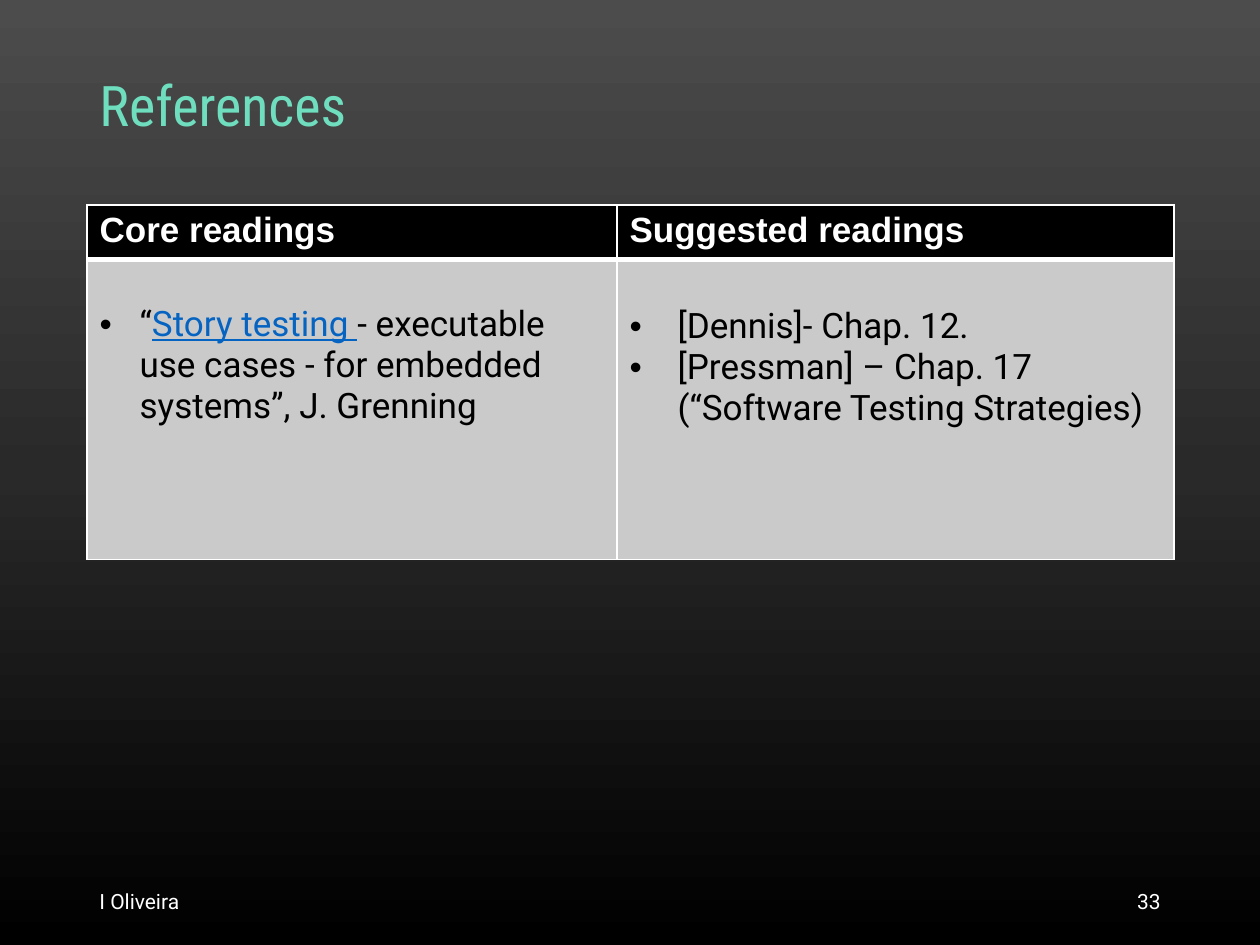
import copy
import pptx
import pptx.util
import pptx.dml.color
import pptx.enum.text
import pptx.oxml
import pptx.oxml.ns

ALIGN = pptx.enum.text.PP_ALIGN
THEME = {
    "gradient": [(0, "4C4C4C"), (0.5, "292929"), (1, "000000")],
    "white": "FFFFFF", "black": "000000", "mint": "6EDEBF",
    "link": "0563C1", "body_fill": "CACACA",
    "title_size": 32, "table_size": 20, "footer_size": 12,
    "rule": 1, "header_rule": 3,
}
PX = 914400 // 126

LABELS = [
    {"text": "References", "box": (87, 50, 1086, 117), "align": ALIGN.LEFT, "spacing": 0.9,
     "font": {"name": "Roboto Condensed", "size": "title_size", "color": "mint"}},
    {"text": "I Oliveira", "box": (87, 876, 756, 50), "align": ALIGN.LEFT, "spacing": 1,
     "font": {"name": "Roboto", "size": "footer_size", "color": "white"}},
    {"text": "33", "box": (890, 876, 283, 50), "align": ALIGN.RIGHT, "spacing": 1,
     "font": {"name": "Roboto", "size": "footer_size", "color": "white"}},
]
HEADING = {"name": "Arial", "size": "table_size", "color": "white", "bold": True}
READING = {"name": "Roboto", "size": "table_size", "color": "black", "bold": False}
LINK = {**READING, "color": "link", "underline": True}
COLUMNS = [
    {"heading": "Core readings", "width": 530, "indent": 40, "top": 44, "readings": [
        [("“", READING), ("Story testing ", LINK),
         ("- executable use cases - for embedded systems”, J. Grenning", READING)],
    ]},
    {"heading": "Suggested readings", "width": 557, "indent": 48, "top": 46, "readings": [
        [("[Dennis]- Chap. 12.", READING)],
        [("[Pressman] – Chap. 17 (“Software Testing Strategies)", READING)],
    ]},
]
TABLE_LEFT, TABLE_TOP = 87, 205
ROW_HEIGHTS = [52, 300]


def rgb(name):
    return pptx.dml.color.RGBColor.from_string(THEME.get(name, name))


def xml(markup):
    return pptx.oxml.parse_xml(markup.replace(" ", f' {pptx.oxml.ns.nsdecls("a")} ', 1))


def add_run(paragraph, text, style):
    run = paragraph.add_run()
    run.text = text
    for key, value in style.items():
        if key == "color":
            run.font.color.rgb = rgb(value)
        elif key == "size":
            run.font.size = pptx.util.Pt(THEME[value])
        else:
            setattr(run.font, key, value)


def add_bullet(paragraph, indent):
    properties = paragraph._p.get_or_add_pPr()
    for key, value in {"marL": indent * PX, "indent": -indent * PX}.items():
        properties.set(key, str(value))
    for markup in (f'<a:buClr ><a:srgbClr val="{THEME["black"]}"/></a:buClr>',
                   '<a:buFont typeface="Arial"/>', '<a:buChar char="•"/>'):
        properties.append(xml(markup))


def style_cell(cell, fill, thick_side):
    cell.fill.solid()
    cell.fill.fore_color.rgb = rgb(fill)
    properties = cell._tc.get_or_add_tcPr()
    for place, side in enumerate("LRTB"):
        points = THEME["header_rule" if side == thick_side else "rule"]
        properties.insert(place, xml(
            f'<a:ln{side} w="{pptx.util.Pt(points)}"><a:solidFill>'
            f'<a:srgbClr val="{THEME["white"]}"/></a:solidFill></a:ln{side}>'))


def paint_background(slide):
    fill = slide.background.fill
    fill.gradient()
    fill.gradient_angle = 270
    stops = slide.element.find(".//" + pptx.oxml.ns.qn("a:gsLst"))
    stops.append(copy.deepcopy(stops[0]))
    for stop, (position, color) in zip(fill.gradient_stops, THEME["gradient"]):
        stop.position = position
        stop.color.rgb = rgb(color)


def add_label(slide, label):
    frame = slide.shapes.add_textbox(*(side * PX for side in label["box"])).text_frame
    frame.word_wrap = True
    frame.vertical_anchor = pptx.enum.text.MSO_ANCHOR.MIDDLE
    paragraph = frame.paragraphs[0]
    paragraph.alignment = label["align"]
    paragraph.line_spacing = label["spacing"]
    add_run(paragraph, label["text"], label["font"])


def add_readings(slide):
    width = sum(column["width"] for column in COLUMNS)
    table = slide.shapes.add_table(
        len(ROW_HEIGHTS), len(COLUMNS), TABLE_LEFT * PX, TABLE_TOP * PX,
        width * PX, sum(ROW_HEIGHTS) * PX).table
    table.horz_banding = False
    for row, height in zip(table.rows, ROW_HEIGHTS):
        row.height = height * PX
    for index, column in enumerate(COLUMNS):
        table.columns[index].width = column["width"] * PX
        heading, body = table.cell(0, index), table.cell(1, index)
        style_cell(heading, "black", "B")
        style_cell(body, "body_fill", "T")
        add_run(heading.text_frame.paragraphs[0], column["heading"], HEADING)
        body.margin_top = column["top"] * PX
        for number, reading in enumerate(column["readings"]):
            frame = body.text_frame
            paragraph = frame.add_paragraph() if number else frame.paragraphs[0]
            add_bullet(paragraph, column["indent"])
            for text, style in reading:
                add_run(paragraph, text, style)


def main():
    deck = pptx.Presentation()
    deck.slide_width, deck.slide_height = 1260 * PX, 945 * PX
    slide = deck.slides.add_slide(deck.slide_layouts[6])
    paint_background(slide)
    for label in LABELS:
        add_label(slide, label)
    add_readings(slide)
    deck.save("out.pptx")


if __name__ == "__main__":
    main()
